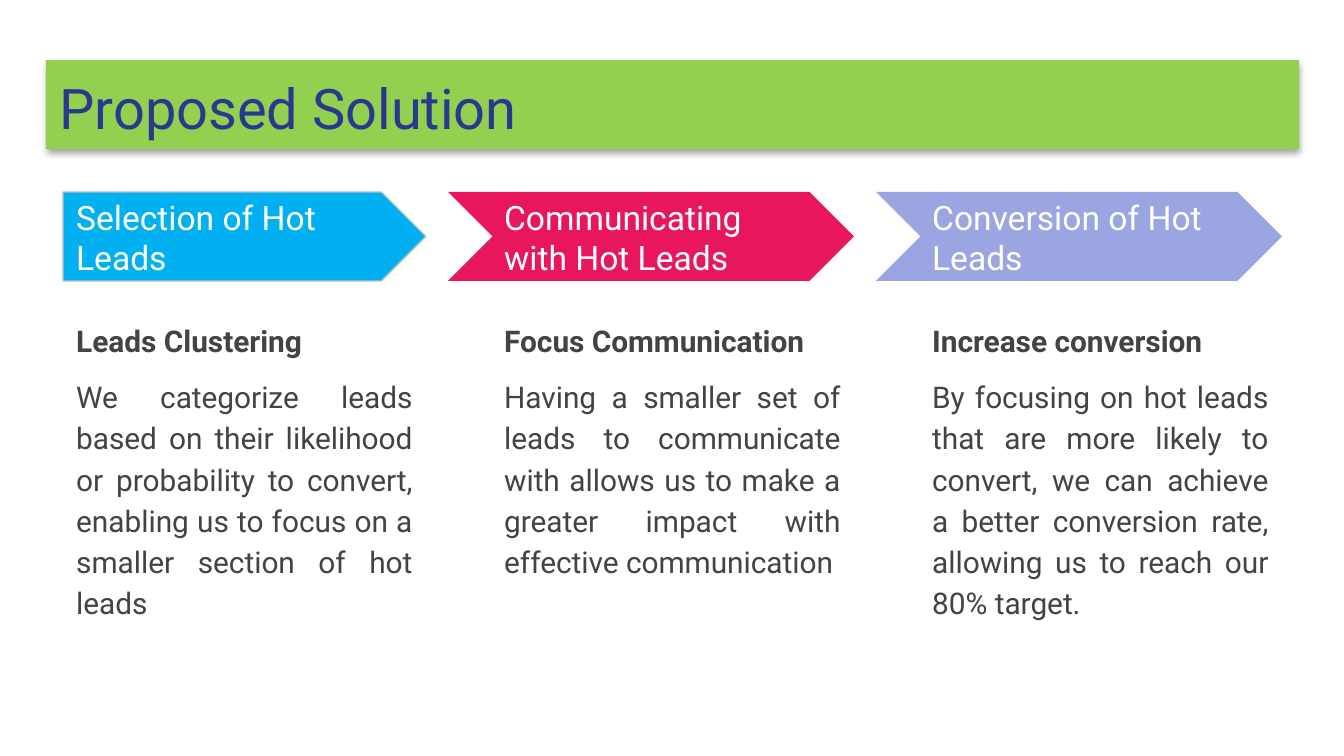
import pptx
import pptx.dml.color
import pptx.enum.shapes
import pptx.enum.text
import pptx.oxml
import pptx.oxml.ns
import pptx.util

RGB = pptx.dml.color.RGBColor
SHAPE = pptx.enum.shapes.MSO_SHAPE
ALIGN = pptx.enum.text.PP_ALIGN
ANCHOR = pptx.enum.text.MSO_ANCHOR

GREEN = RGB(0x92, 0xD0, 0x50)
NAVY = RGB(0x2A, 0x39, 0x90)
BLUE = RGB(0x00, 0xB0, 0xF0)
PINK = RGB(0xE7, 0x16, 0x5D)
LILAC = RGB(0x9B, 0xA5, 0xE2)
OUTLINE = RGB(0xC2, 0xC2, 0xC2)
WHITE = RGB(0xFF, 0xFF, 0xFF)
GREY = RGB(0x43, 0x43, 0x43)

TITLE = "Proposed Solution"
STEPS = [
    ("Selection of Hot Leads", BLUE, "Leads Clustering",
     "We categorize leads based on their likelihood or probability to convert, "
     "enabling us to focus on a smaller section of hot leads"),
    ("Communicating with Hot Leads", PINK, "Focus Communication",
     "Having a smaller set of leads to communicate with allows us to make a "
     "greater impact with effective communication"),
    ("Conversion of Hot Leads", LILAC, "Increase conversion",
     "By focusing on hot leads that are more likely to convert, we can achieve "
     "a better conversion rate, allowing us to reach our 80% target."),
]

PX = 914400 / 134.4
LEFT, STEP, COLUMN_WIDTH = 63, 428, 363
ARROW_TOP, ARROW_HEIGHT, CHEVRON_WIDTH = 192, 89, 406
LABEL_TOP, LABEL_WIDTH, LABEL_HEIGHT = 214, 332, 46
BODY_TOP, BODY_HEIGHT = 304, 390

TITLE_SHADOW = (
    '<a:effectLst %s><a:outerShdw blurRad="39370" dist="22860" dir="5400000" '
    'algn="t" rotWithShape="0"><a:srgbClr val="000000"><a:alpha val="35000"/>'
    '</a:srgbClr></a:outerShdw></a:effectLst>' % pptx.oxml.ns.nsdecls("a"))


def emu(*lengths):
    return [round(length * PX) for length in lengths]


def set_frame(frame, anchor=ANCHOR.TOP):
    frame.word_wrap = True
    frame.auto_size = pptx.enum.text.MSO_AUTO_SIZE.NONE
    frame.vertical_anchor = anchor
    frame.margin_left = frame.margin_right = pptx.util.Inches(0.1)
    frame.margin_top = frame.margin_bottom = pptx.util.Inches(0.1)
    return frame


def write(paragraph, text, size, color, bold=False, align=ALIGN.LEFT,
          line_spacing=1.0, gap=0):
    paragraph.alignment = align
    paragraph.line_spacing = line_spacing
    paragraph.space_before = paragraph.space_after = pptx.util.Pt(gap)
    run = paragraph.add_run()
    run.text = text
    run.font.name = "Roboto"
    run.font.size = pptx.util.Pt(size)
    run.font.bold = bold
    run.font.color.rgb = color


def add_title(slide):
    title = slide.shapes.title
    title.left, title.top, title.width, title.height = emu(46, 60, 1253, 89)
    title.fill.solid()
    title.fill.fore_color.rgb = GREEN
    title._element.spPr.append(pptx.oxml.parse_xml(TITLE_SHADOW))
    write(set_frame(title.text_frame).paragraphs[0], TITLE, 30, NAVY)


def add_arrow(slide, left, color, first):
    width = COLUMN_WIDTH if first else CHEVRON_WIDTH
    arrow = slide.shapes.add_shape(
        SHAPE.PENTAGON if first else SHAPE.CHEVRON,
        *emu(left + COLUMN_WIDTH - width, ARROW_TOP, width, ARROW_HEIGHT))
    arrow.adjustments[0] = 0.5
    arrow.shadow.inherit = False
    arrow.fill.solid()
    arrow.fill.fore_color.rgb = color
    if first:
        arrow.line.color.rgb = OUTLINE
        arrow.line.width = pptx.util.Pt(0.75)
    else:
        arrow.line.fill.background()


def add_step(slide, index, label, color, heading, detail):
    left = LEFT + index * STEP
    add_arrow(slide, left, color, first=index == 0)

    label_box = slide.shapes.add_textbox(
        *emu(left, LABEL_TOP, LABEL_WIDTH, LABEL_HEIGHT))
    label_frame = set_frame(label_box.text_frame, ANCHOR.MIDDLE)
    write(label_frame.paragraphs[0], label, 18, WHITE)

    body_box = slide.shapes.add_textbox(
        *emu(left, BODY_TOP, COLUMN_WIDTH, BODY_HEIGHT))
    body = set_frame(body_box.text_frame)
    write(body.paragraphs[0], heading, 16, GREY, bold=True, line_spacing=1.15)
    write(body.add_paragraph(), detail, 16, GREY, align=ALIGN.JUSTIFY,
          line_spacing=1.15, gap=8)


def main():
    deck = pptx.Presentation()
    deck.slide_width, deck.slide_height = emu(1344, 756)
    slide = deck.slides.add_slide(deck.slide_layouts.get_by_name("Title Only"))
    add_title(slide)
    for index, step in enumerate(STEPS):
        add_step(slide, index, *step)
    deck.save("out.pptx")


if __name__ == "__main__":
    main()
